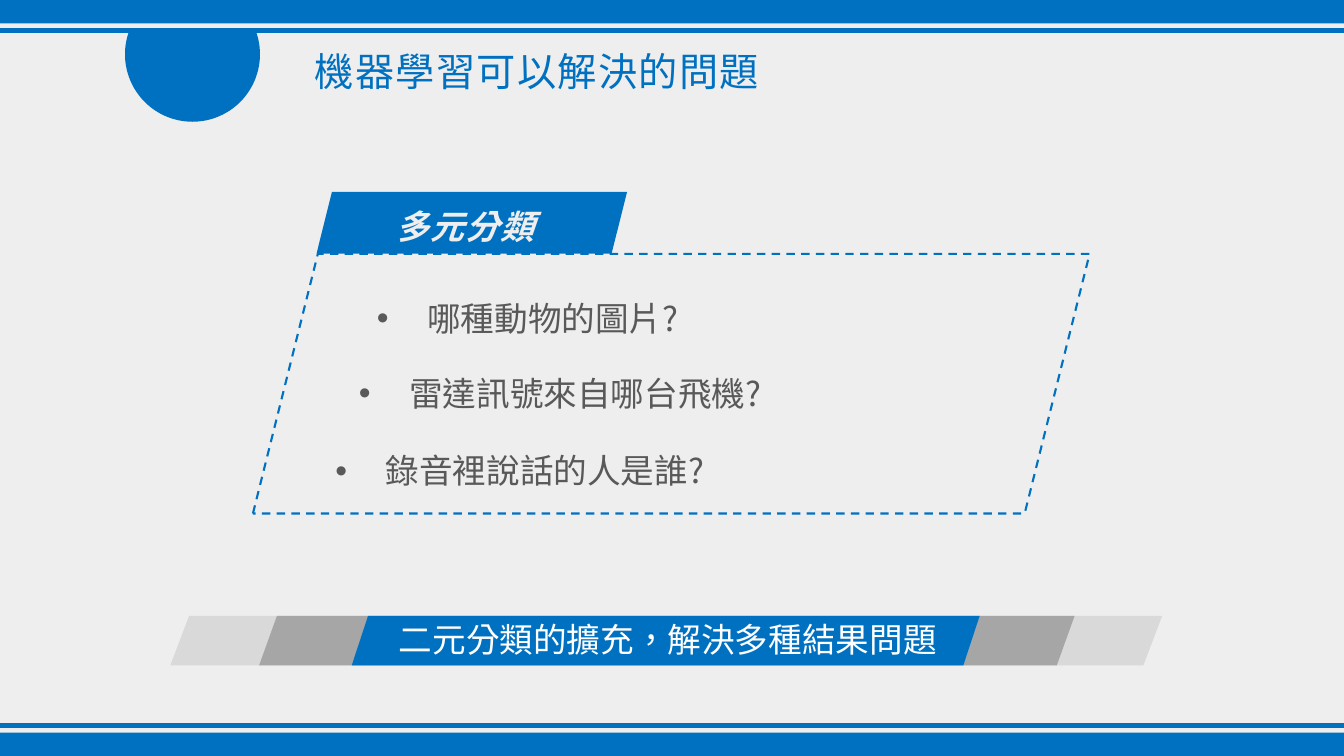
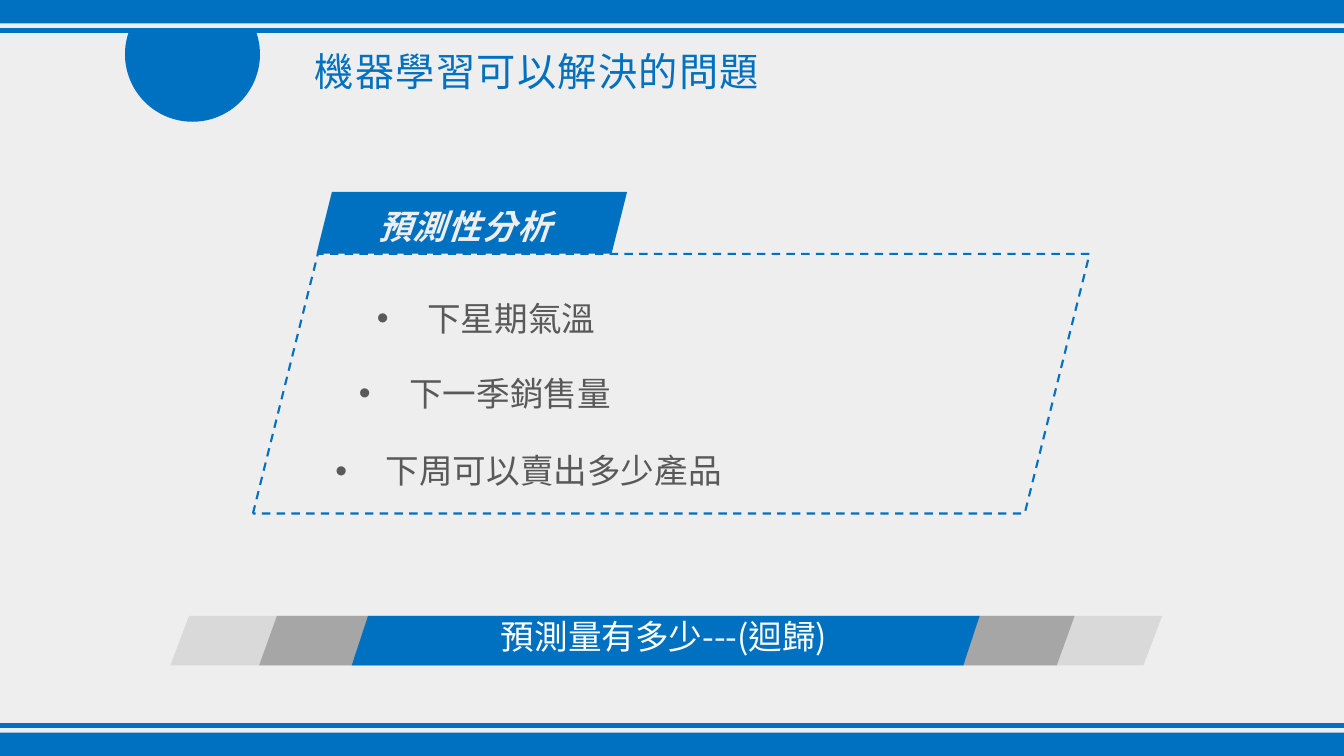
import math

from lxml import etree
from pptx import Presentation
from pptx.dml.color import RGBColor
from pptx.enum import dml, shapes, text
from pptx.oxml import ns
from pptx.util import Pt

W, H = 960, 540
FONT = "Noto Sans CJK SC"
COLORS = {
    "paper": "EEEEEE",
    "blue": "0070C0",
    "grey": "A6A6A6",
    "light": "D9D9D9",
    "body": "595959",
    "white": "FFFFFF",
}
TITLE = "機器學習可以解決的問題"
STYLES = {
    "title": {"color": "blue", "font": {"size": Pt(28)}, "spc": 100,
              "para": {"line_spacing": 1.25, "alignment": text.PP_ALIGN.JUSTIFY},
              "indent": (0, 58)},
    "tag": {"color": "paper", "font": {"size": Pt(24), "bold": True, "italic": True}, "spc": 100,
            "para": {"line_spacing": 1.25, "alignment": text.PP_ALIGN.CENTER}},
    "bullet": {"color": "body", "font": {"size": Pt(24)},
               "para": {"line_spacing": 1.4, "alignment": text.PP_ALIGN.JUSTIFY},
               "indent": (36, -36), "bullet": "•"},
    "banner": {"color": "white", "font": {"size": Pt(24)}, "wrap": False},
}
SLIDES = [
    {"tag": "多元分類",
     "bullets": ["哪種動物的圖片?", "雷達訊號來自哪台飛機?", "錄音裡說話的人是誰?"],
     "banner": "二元分類的擴充，解決多種結果問題", "banner_box": (156.2, -1.4, 402.5, 36)},
    {"tag": "預測性分析",
     "bullets": ["下星期氣溫", "下一季銷售量", "下周可以賣出多少產品"],
     "banner": "預測量有多少---(迴歸)", "banner_box": (229, -3.6, 269.3, 36)},
]


def rgb(name):
    """Return the named colour."""
    return RGBColor.from_string(COLORS[name])


def paint(sp, fill=None):
    """Give a shape a flat fill, or none, without line or shadow."""
    sp.shadow.inherit = False
    sp.line.fill.background()
    if fill:
        sp.fill.solid()
        sp.fill.fore_color.rgb = rgb(fill)
    else:
        sp.fill.background()
    return sp


def add_shape(s, kind, box, fill=None, adj=None):
    """Add a preset shape in a box of points."""
    sp = paint(s.shapes.add_shape(kind, *map(Pt, box)), fill)
    if adj is not None:
        sp.adjustments[0] = adj
    return sp


def add_text(s, box, words, style):
    """Add one paragraph in a named style."""
    fmt = STYLES[style]
    tf = s.shapes.add_textbox(*map(Pt, box)).text_frame
    tf.word_wrap = fmt.get("wrap", True)
    tf.auto_size = text.MSO_AUTO_SIZE.SHAPE_TO_FIT_TEXT
    p = tf.paragraphs[0]
    r = p.add_run()
    r.text = words
    for target, values in ((p, fmt.get("para", {})), (r.font, {"name": FONT, **fmt["font"]})):
        for key, value in values.items():
            setattr(target, key, value)
    r.font.color.rgb = rgb(fmt["color"])
    rPr = r._r.get_or_add_rPr()
    rPr.set("lang", "zh-TW")
    rPr.set("spc", str(fmt.get("spc", 0)))
    etree.SubElement(rPr, ns.qn("a:ea")).set("typeface", FONT)
    pPr = p._p.get_or_add_pPr()
    for key, value in zip(("marL", "indent"), fmt.get("indent", ())):
        pPr.set(key, str(Pt(value)))
    if "bullet" in fmt:
        etree.SubElement(pPr, ns.qn("a:buFont")).set("typeface", "Arial")
        etree.SubElement(pPr, ns.qn("a:buChar")).set("char", fmt["bullet"])


def add_bands(s):
    """Draw a thick and a thin band along the top and bottom edges."""
    for offset, height in ((0, 16.7), (20, 3.5)):
        for top in (offset, H - offset - height):
            add_shape(s, shapes.MSO_SHAPE.RECTANGLE, (0, top, W, height), "blue")


def add_disc(s, cx, cy, radius, cut):
    """Draw a disc whose top is cut off level at the given height."""
    start = math.asin((cut - cy) / radius)
    sweep = math.pi - 2 * start
    angles = [start + sweep * i / 90 for i in range(91)]
    points = [(Pt(cx + radius * math.cos(a)), Pt(cy + radius * math.sin(a))) for a in angles]
    outline = s.shapes.build_freeform(*points[0])
    outline.add_line_segments(points[1:], close=True)
    paint(outline.convert_to_shape(), "blue")


def add_header(s, x, y):
    """Place the disc and the title."""
    add_disc(s, x + 48.2, y + 17.2, 48.2, y + 1.4)
    add_text(s, (x + 70.5, y, 614, 49.7), TITLE, "title")


def add_panel(s, x, y, w, h, tag, bullets):
    """Draw the dashed panel with its tag and bullets."""
    para = shapes.MSO_SHAPE.PARALLELOGRAM
    frame = add_shape(s, para, (x, y, w, h))
    frame.line.color.rgb = rgb("blue")
    for key, value in {"width": Pt(1.5), "dash_style": dml.MSO_LINE.DASH}.items():
        setattr(frame.line, key, value)
    tag_box = (x + 45.4, y - 44.4, 221.8, 44.2)
    add_shape(s, para, tag_box, "blue")
    add_text(s, (tag_box[0] - 5, tag_box[1] - 0.7, *tag_box[2:]), tag, "tag")
    for words, dx, dy in zip(bullets, (81.4, 68.6, 51.8), (16.4, 70, 125.2)):
        add_text(s, (x + dx, y + dy, 410, 44), words, "bullet")


def add_banner(s, x, y, h, words, text_box):
    """Draw three nested slanted bars with a line of text."""
    bars = ((0, 708.5, 0.38, "light"), (63.4, 582.5, 0.36, "grey"), (129.6, 448.5, 0.33, "blue"))
    for dx, width, adj, fill in bars:
        add_shape(s, shapes.MSO_SHAPE.PARALLELOGRAM, (x + dx, y, width, h), fill, adj)
    dx, dy, width, height = text_box
    add_text(s, (x + dx, y + dy, width, height), words, "banner")


def add_topic(prs, topic):
    """Build one topic slide."""
    s = prs.slides.add_slide(prs.slide_layouts[6])
    s.background.fill.solid()
    s.background.fill.fore_color.rgb = rgb("paper")
    add_bands(s)
    add_header(s, 89.3, 21.6)
    add_banner(s, 121.7, 439.9, 35.3, topic["banner"], topic["banner_box"])
    add_panel(s, 180.7, 181.4, 597.6, 185.4, topic["tag"], topic["bullets"])


def main():
    """Build and save the presentation."""
    prs = Presentation()
    prs.slide_width, prs.slide_height = Pt(W), Pt(H)
    for topic in SLIDES:
        add_topic(prs, topic)
    prs.save("out.pptx")


if __name__ == "__main__":
    main()
